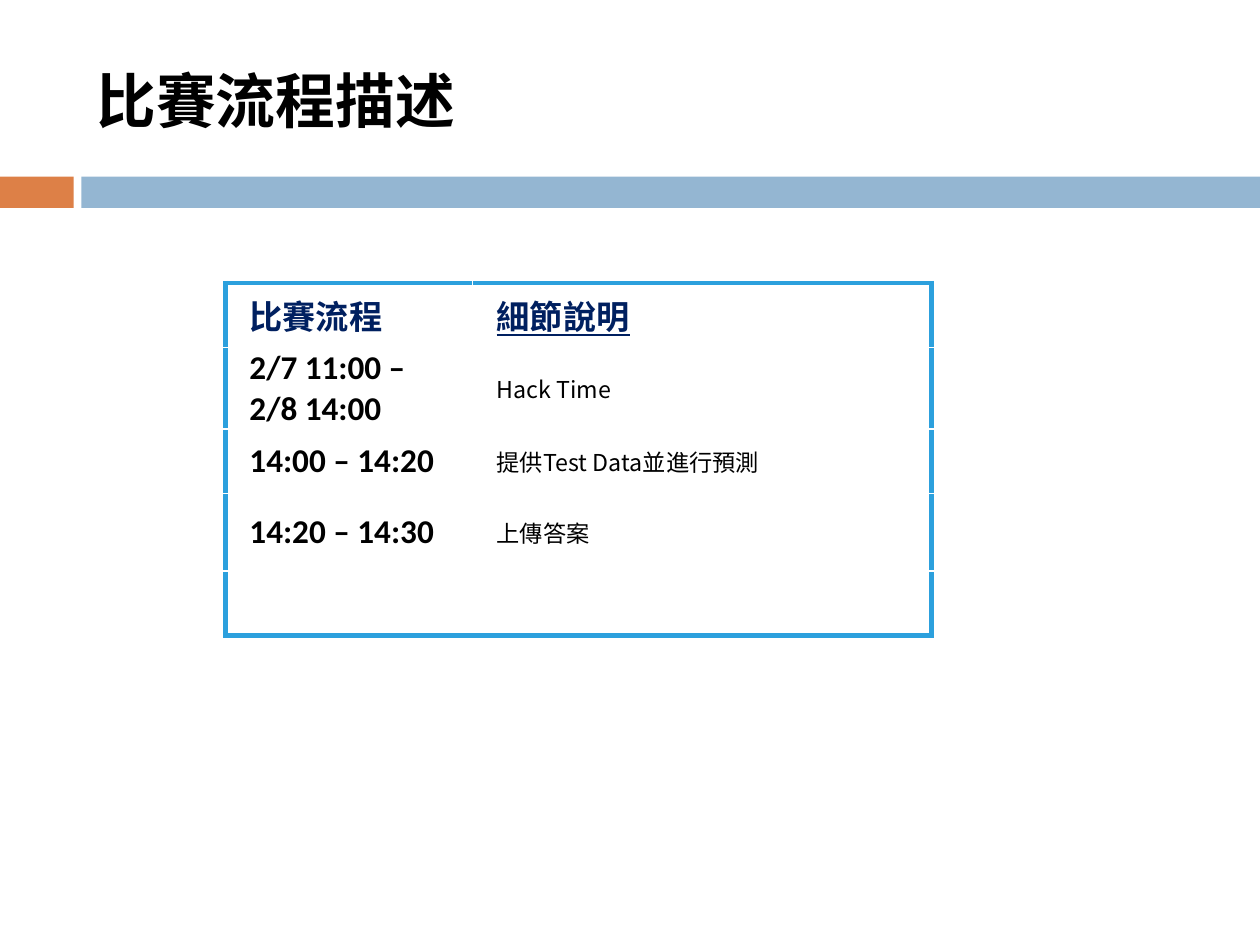
import pptx
import pptx.util
import pptx.dml.color
import pptx.enum.shapes
import pptx.enum.text
import pptx.oxml.ns
import lxml.etree

Pt = pptx.util.Pt
MID = pptx.enum.text.MSO_ANCHOR.MIDDLE
LEFT = pptx.enum.text.PP_ALIGN.LEFT
HAN = "Noto Sans CJK SC"
HUES = {"orange": "DD8047", "blue": "94B6D2", "frame": "2CA0DD",
        "navy": "002060", "black": "000000", "white": "FFFFFF"}
HEADS = ["比賽流程", "細節說明"]
STEPS = [("2/7 11:00 – 2/8 14:00", "Hack Time"),
         ("14:00 – 14:20", "提供Test Data並進行預測"),
         ("14:20 – 14:30", "上傳答案")]


def hue(name):
    return pptx.dml.color.RGBColor.from_string(HUES[name])


def add_tag(base, tag, **attrs):
    return lxml.etree.SubElement(base, pptx.oxml.ns.qn(tag), **attrs)


def write(frame, text, size=20, font="Calibri", color="black", bold=True, line=False):
    para = frame.paragraphs[0]
    para.alignment = LEFT
    run = para.add_run()
    run.text = text
    face = run.font
    face.size = Pt(size)
    face.bold = bold
    face.underline = line
    face.color.rgb = hue(color)
    face.name = font
    add_tag(run._r.get_or_add_rPr(), "a:ea", typeface=HAN)


def draw_title(slide, text, left, top, width, height):
    title = slide.shapes.title
    title.left, title.top = Pt(left), Pt(top)
    title.width, title.height = Pt(width), Pt(height)
    title.text_frame.vertical_anchor = MID
    title.text_frame.word_wrap = True
    write(title.text_frame, text, size=36)


def draw_band(slide, left, top, width, height):
    tab, gap = 44.4, 4.6
    start = tab + gap
    for name, shift, span in [("orange", 0, tab), ("blue", start, width - start)]:
        bar = slide.shapes.add_shape(pptx.enum.shapes.MSO_SHAPE.RECTANGLE,
                                     Pt(left + shift), Pt(top), Pt(span), Pt(height))
        bar.shadow.inherit = False
        bar.fill.solid()
        bar.fill.fore_color.rgb = hue(name)
        bar.line.fill.background()


def style_cell(cell, sides):
    cell.vertical_anchor = MID
    cell.margin_left = cell.margin_right = Pt(14.4)
    cell.margin_top = cell.margin_bottom = Pt(0)
    props = cell._tc.get_or_add_tcPr()
    for side in sides:
        edge = add_tag(props, "a:ln" + side, w=str(Pt(3)))
        add_tag(add_tag(edge, "a:solidFill"), "a:srgbClr", val=HUES["frame"])
    cell.fill.solid()
    cell.fill.fore_color.rgb = hue("white")


def draw_plan(slide, left, top, width, height):
    tall = [39, 48.4, 39, 46.6, 39]
    cols = [149, width - 149]
    grid = slide.shapes.add_table(len(tall), len(cols), Pt(left), Pt(top),
                                  Pt(width), Pt(height)).table
    grid.first_row = grid.horz_banding = False
    for col, span in zip(grid.columns, cols):
        col.width = Pt(span)
    for row, size in zip(grid.rows, tall):
        row.height = Pt(size * height / sum(tall))
    last = len(tall) - 1
    for r in range(len(tall)):
        for c in range(len(cols)):
            sides = "LR"[c] + ("T" if r == 0 else "B" if r == last else "")
            style_cell(grid.cell(r, c), sides)
    write(grid.cell(0, 0).text_frame, HEADS[0], color="navy")
    write(grid.cell(0, 1).text_frame, HEADS[1], font=HAN, color="navy", line=True)
    for r, (time, note) in enumerate(STEPS, 1):
        write(grid.cell(r, 0).text_frame, time)
        write(grid.cell(r, 1).text_frame, note, size=14, font=HAN, bold=False)


def main():
    deck = pptx.Presentation()
    deck.slide_width, deck.slide_height = Pt(759.6), Pt(569.5)
    slide = deck.slides.add_slide(deck.slide_layouts[5])
    draw_band(slide, 0, 106.4, 759.6, 19)
    draw_title(slide, "比賽流程描述", 51, 19, 677, 82)
    draw_plan(slide, 136, 170.6, 425.5, 212)
    deck.save("out.pptx")


if __name__ == "__main__":
    main()
